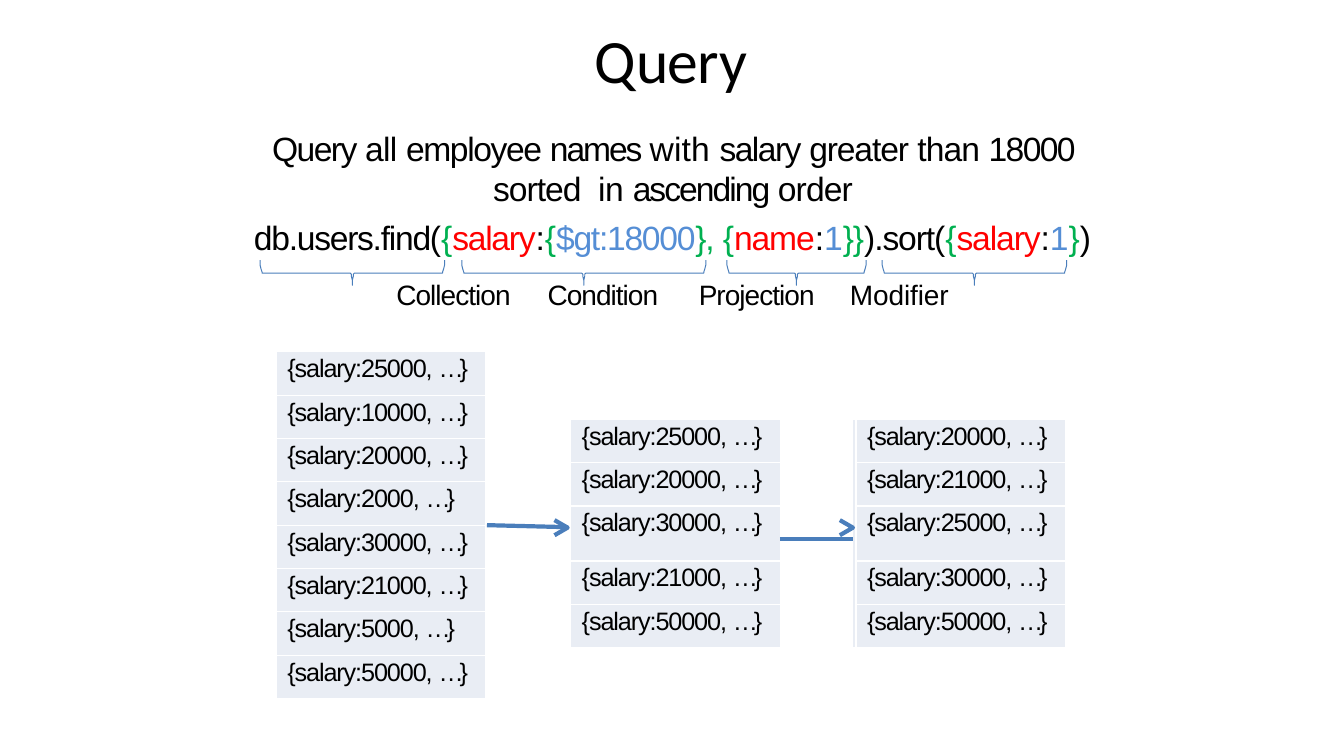
from lxml import etree
from pptx import Presentation
from pptx import util as u
from pptx.dml.color import RGBColor
from pptx.enum import shapes, text
from pptx.oxml import ns

BLACK = RGBColor(0x00, 0x00, 0x00)
GREEN = RGBColor(0x00, 0xB0, 0x50)
RED = RGBColor(0xFF, 0x00, 0x00)
SKY = RGBColor(0x55, 0x8E, 0xD5)
LINE = RGBColor(0x4A, 0x7E, 0xBB)
CELL = RGBColor(0xE9, 0xED, 0xF4)
WHITE = RGBColor(0xFF, 0xFF, 0xFF)

ROW = 0.43
DOCUMENT_WIDTH = 2.08


def write(paragraph, words, size=24, color=BLACK, spacing=0.0, font="Arial"):
    """Add a run; spacing is the letter spacing in points."""
    run = paragraph.add_run()
    run.text = words
    run.font.size, run.font.name = u.Pt(size), font
    run.font.color.rgb = color
    run.font._element.set("spc", str(round(spacing * 100)))


def layout_paragraph(paragraph, before, align=text.PP_ALIGN.LEFT, indent=0.0):
    """Set space before, alignment and left indent of a paragraph."""
    paragraph.space_before = u.Pt(before)
    paragraph.alignment = align
    properties = paragraph._p.get_or_add_pPr()
    properties.set("marL", str(u.Inches(indent)))
    properties.set("indent", "0")
    return properties


def set_frame(frame):
    """Give a text frame its narrow margins."""
    frame.word_wrap = True
    frame.auto_size = text.MSO_AUTO_SIZE.SHAPE_TO_FIT_TEXT
    frame.margin_left = frame.margin_right = frame.margin_bottom = 0
    frame.margin_top = u.Inches(0.01)


def add_title(slide, left, top, width, height):
    """Place and write the slide title."""
    title = slide.shapes.title
    title.left, title.top = u.Inches(left), u.Inches(top)
    title.width, title.height = u.Inches(width), u.Inches(height)
    set_frame(title.text_frame)
    title.text_frame.vertical_anchor = text.MSO_ANCHOR.MIDDLE
    paragraph = title.text_frame.paragraphs[0]
    layout_paragraph(paragraph, 1, indent=0.01)
    for letters, spacing in (("Q", -4.6), ("ue", -1.2), ("r", -0.6), ("y", -2.1)):
        write(paragraph, letters, size=44, spacing=spacing, font="Calibri")


def add_query(slide, left, top, width, height):
    """Write the question, the query and the names of its parts."""
    box = slide.shapes.add_textbox(*map(u.Inches, (left, top, width, height)))
    frame = box.text_frame
    set_frame(frame)
    center = text.PP_ALIGN.CENTER

    question = frame.paragraphs[0]
    layout_paragraph(question, 1, center, 0.01)
    for words, spacing in (
            ("Query ", -1.1), ("all ", -0.5), ("employee ", -1), ("names ", -1.5),
            ("with ", 0.1), ("salary ", -1.1), ("greater ", -0.8), ("than ", -0.6),
            ("18000 ", -1.2), ("sorted  ", -0.7), ("in ", -0.3),
            ("ascending ", -1.4), ("order", -0.6)):
        write(question, words, spacing=spacing)

    query = frame.add_paragraph()
    layout_paragraph(query, 5.8, center)
    selection = (("db.users.find(", BLACK), ("{", GREEN), ("salary", RED), (":", BLACK),
                 ("{", GREEN), ("$gt:18000", SKY), ("}, ", GREEN))
    ordering = (("{", GREEN), ("name", RED), (":", BLACK), ("1", SKY), ("}}", GREEN),
                (").sort(", BLACK), ("{", GREEN), ("salary", RED), (":", BLACK),
                ("1", SKY), ("}", GREEN), (")", BLACK))
    for tokens, spacing in ((selection, -0.9), (ordering, -0.8)):
        for token, color in tokens:
            write(query, token, color=color, spacing=spacing)

    labels = frame.add_paragraph()
    properties = layout_paragraph(labels, 14.4, center)
    stops = etree.SubElement(properties, ns.qn("a:tabLst"))
    for position in (2.29, 4.29, 6.29):
        etree.SubElement(stops, ns.qn("a:tab"), pos=str(u.Inches(position)), algn="l")
    write(labels, "Collection\tCondition\tProjection\t", size=20, spacing=-0.7)
    write(labels, "Modifier", size=20, spacing=-0.1)


def add_outline(slide, points, weight):
    """Draw an open, unfilled line through points given in inches."""
    start, *others = [(u.Inches(x), u.Inches(y)) for x, y in points]
    builder = slide.shapes.build_freeform(*start, scale=1.0)
    builder.add_line_segments(others, close=False)
    outline = builder.convert_to_shape()
    outline.shadow.inherit = False
    outline.fill.background()
    outline.line.color.rgb, outline.line.width = LINE, u.Pt(weight)


def add_brace(slide, left, top, width, height):
    """Draw a brace under a part of the query, pointing down."""
    middle = width / 2
    half = [(0, 0), (0, 0.2), (0.01, 0.36), (0.02, 0.48), (0.02, 0.52),
            (middle - 0.02, 0.52), (middle - 0.01, 0.56), (middle - 0.01, 0.64),
            (middle, 0.8), (middle, 1)]
    mirrored = [(width - x, y) for x, y in reversed(half[:-1])]
    add_outline(slide, [(left + x, top + y * height) for x, y in half + mirrored], 0.72)


def add_arrowhead(slide, left, top, width, height):
    """Draw an open arrowhead that points right."""
    add_outline(slide, [(left, top), (left + width, top + height / 2),
                        (left, top + height)], 3)


def add_arrow_shaft(slide, *ends):
    """Draw the straight shaft of an arrow."""
    shaft = slide.shapes.add_connector(shapes.MSO_CONNECTOR.STRAIGHT,
                                       *map(u.Inches, ends))
    shaft.line.color.rgb, shaft.line.width = LINE, u.Pt(3)
    etree.SubElement(shaft._element.spPr, ns.qn("a:effectLst"))


def set_borders(cell, **sides):
    """Set cell borders, each as a side (L, R, T, B) with colour and points."""
    properties = cell._tc.get_or_add_tcPr()
    for side in "LRTB":
        if side in sides:
            color, weight = sides[side]
            edge = etree.SubElement(properties, ns.qn("a:ln" + side),
                                    w=str(u.Pt(weight)))
            fill = etree.SubElement(edge, ns.qn("a:solidFill"))
            etree.SubElement(fill, ns.qn("a:srgbClr"), val=str(color))


def format_cell(cell, filled=True, **sides):
    """Set margins, borders and fill of a cell."""
    cell.margin_left = cell.margin_right = cell.margin_bottom = 0
    cell.margin_top = u.Inches(0.03)
    set_borders(cell, **sides)
    if filled:
        cell.fill.solid()
        cell.fill.fore_color.rgb = CELL
    else:
        cell.fill.background()


def write_document(cell, salary):
    """Fill a cell with one employee document."""
    format_cell(cell, **dict.fromkeys("LRTB", (WHITE, 1)))
    paragraph = cell.text_frame.paragraphs[0]
    layout_paragraph(paragraph, 2.4, indent=0.11)
    write(paragraph, "{salary:%d, " % salary, size=18, spacing=-0.8)
    write(paragraph, "…}", size=18, spacing=-3)


def add_grid(slide, left, top, columns, rows):
    """Add an unstyled table with the given column widths and row heights."""
    grid = slide.shapes.add_table(
        len(rows), len(columns),
        *map(u.Inches, (left, top, sum(columns), sum(rows)))).table
    grid.first_row = grid.horz_banding = False
    for column, width in zip(grid.columns, columns):
        column.width = u.Inches(width)
    for row, height in zip(grid.rows, rows):
        row.height = u.Inches(height)
    return grid


def add_collection(slide, left, top, salaries):
    """Add the table of all documents."""
    grid = add_grid(slide, left, top, [DOCUMENT_WIDTH], [ROW] * len(salaries))
    for row, salary in enumerate(salaries):
        write_document(grid.cell(row, 0), salary)


def add_results(slide, left, top, matching, ordered):
    """Add the matching and sorted documents, joined by a line between them."""
    grid = add_grid(slide, left, top, [DOCUMENT_WIDTH, 0.71, 0.04, DOCUMENT_WIDTH],
                    [ROW, ROW, ROW / 2, ROW / 2, ROW, ROW])
    for first, last, column in ((2, 3, 0), (2, 3, 3), (0, 2, 1), (3, 5, 1), (0, 5, 2)):
        grid.cell(first, column).merge(grid.cell(last, column))
    for column, salaries in ((0, matching), (3, ordered)):
        for row, salary in zip((0, 1, 2, 4, 5), salaries):
            write_document(grid.cell(row, column), salary)
    white, blue = (WHITE, 1), (LINE, 3)
    for row in range(6):
        joint = {2: {"B": blue}, 3: {"T": blue}}.get(row, {})
        format_cell(grid.cell(row, 1), filled=False, L=white, R=white, **joint)
        format_cell(grid.cell(row, 2), L=white, R=white)


def build():
    """Build the query slide and save it."""
    deck = Presentation()
    deck.slide_width, deck.slide_height = u.Inches(13.33), u.Inches(7.5)
    slide = deck.slides.add_slide(deck.slide_layouts[5])
    add_title(slide, 5.89, 0.2, 1.56, 0.76)
    add_query(slide, 2.27, 1.26, 8.8, 1.84)
    add_collection(slide, 2.74, 3.49,
                   (25000, 10000, 20000, 2000, 30000, 21000, 5000, 50000))
    add_arrow_shaft(slide, 4.83, 5.21, 5.63, 5.23)
    add_arrowhead(slide, 5.5, 5.16, 0.13, 0.15)
    matching = (25000, 20000, 30000, 21000, 50000)
    add_results(slide, 5.66, 4.16, matching, sorted(matching))
    add_arrowhead(slide, 8.33, 5.16, 0.13, 0.15)
    for left, width in ((2.58, 1.83), (4.58, 2.42), (7.21, 1.38), (8.75, 1.83)):
        add_brace(slide, left, 2.58, width, 0.25)
    deck.save("out.pptx")


build()
